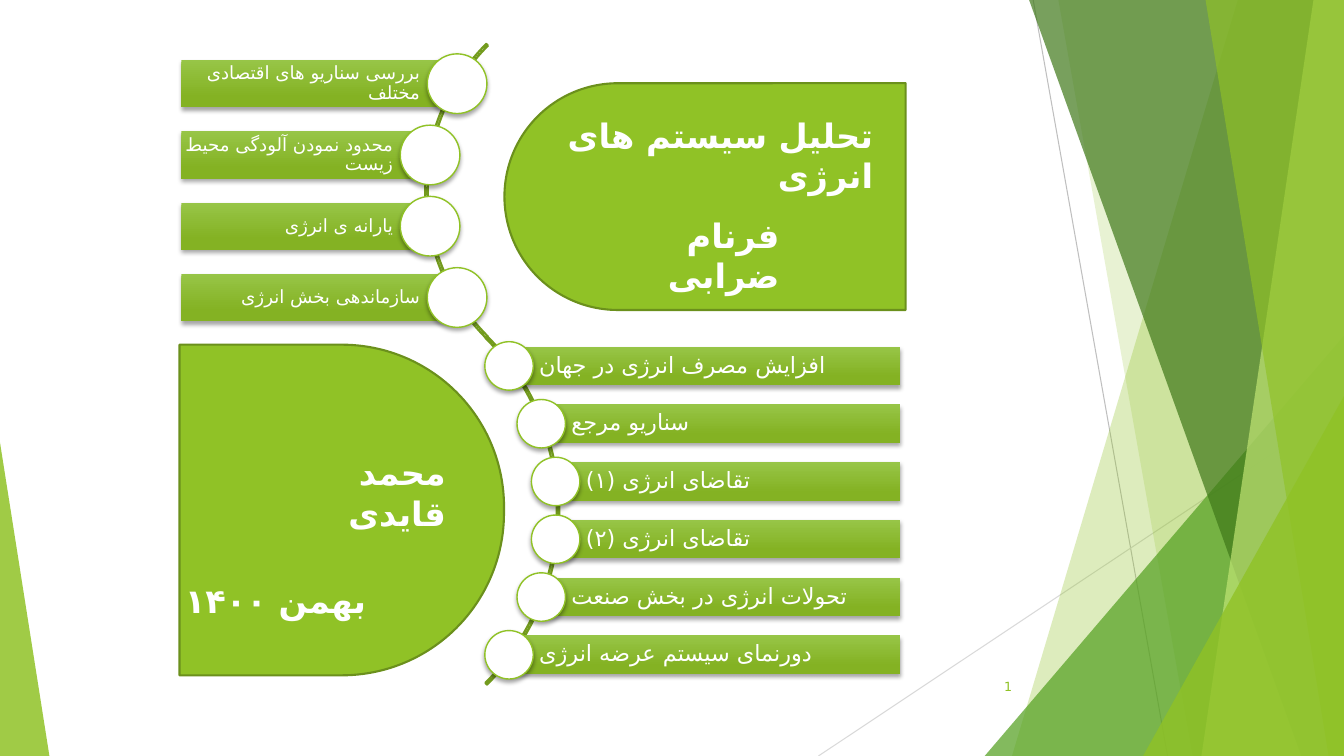
from lxml import etree
from pptx import Presentation
from pptx.dml.color import RGBColor
from pptx.enum.shapes import MSO_CONNECTOR, MSO_SHAPE
from pptx.enum.text import MSO_ANCHOR, PP_ALIGN
from pptx.oxml.ns import qn
from pptx.util import Pt

RECTANGLE, OVAL, TRIANGLE = MSO_SHAPE.RECTANGLE, MSO_SHAPE.OVAL, MSO_SHAPE.ISOSCELES_TRIANGLE
BLOCK_ARC, ROUND_TOP = MSO_SHAPE.BLOCK_ARC, MSO_SHAPE.ROUND_2_SAME_RECTANGLE
STRAIGHT = MSO_CONNECTOR.STRAIGHT
TOP, MIDDLE = MSO_ANCHOR.TOP, MSO_ANCHOR.MIDDLE
LEFT, RIGHT = PP_ALIGN.LEFT, PP_ALIGN.RIGHT

WHITE = RGBColor(0xFF, 0xFF, 0xFF)
BLACK = RGBColor(0, 0, 0)
LIME = RGBColor(0x90, 0xC2, 0x26)
PALE_LIME = RGBColor(0xC0, 0xE4, 0x74)
GREEN = RGBColor(0x54, 0xA0, 0x21)
DARK_GREEN = RGBColor(0x3F, 0x78, 0x19)
ARC_GREEN = RGBColor(0x73, 0x9B, 0x1E)
PANEL_EDGE = RGBColor(0x6B, 0x90, 0x1C)
BAR_TOP = RGBColor(0x97, 0xC5, 0x47)
BAR_BOTTOM = RGBColor(0x84, 0xB2, 0x23)
GRAY = RGBColor(0xBF, 0xBF, 0xBF)
LIGHT_GRAY = RGBColor(0xD9, 0xD9, 0xD9)

FONT = "Karla"
PERSIAN_FONT = "DejaVu Sans"  # Karla has no Arabic letters
WIDTH, HEIGHT = 960, 540

# Right-hand facets, back to front: top x, bottom x, colour, opacity
BACK_FACETS = [(884.2, 722.9, LIME, 30), (756, 851.8, LIME, 20)]
FRONT_FACETS = [(735.1, 929.5, DARK_GREEN, 70), (938.2, 858.2, PALE_LIME, 70),
                (861.1, 949, LIME, 65)]

# Topics: circle centre x, text
UPPER_TOPICS = [
    (326.5, "بررسی سناریو های اقتصادی مختلف"),
    (307.2, "محدود نمودن آلودگی محیط زیست"),
    (307.2, "یارانه ی انرژی"),
    (326.5, "سازماندهی بخش انرژی"),
]
LOWER_TOPICS = [
    (363.6, "افزایش مصرف انرژی در جهان"),
    (386.6, "سناریو مرجع"),
    (396.9, "تقاضای انرژی (۱)"),
    (396.9, "تقاضای انرژی (۲)"),
    (386.6, "تحولات انرژی در بخش صنعت"),
    (363.6, "دورنمای سیستم عرضه انرژی"),
]


def set_fill(shape, color, opacity=100):
    shape.fill.solid()
    shape.fill.fore_color.rgb = color
    if opacity < 100:
        color_element = shape._element.spPr.find(qn("a:solidFill"))[0]
        etree.SubElement(color_element, qn("a:alpha"), val=str(opacity * 1000))


def set_line(shape, color=None, width=1.5):
    if color is None:
        shape.line.fill.background()
    else:
        shape.line.color.rgb = color
        shape.line.width = Pt(width)


def add_preset(slide, kind, left, top, width, height, adjustments=()):
    shape = slide.shapes.add_shape(kind, Pt(left), Pt(top), Pt(width), Pt(height))
    shape.shadow.inherit = False
    for index, value in enumerate(adjustments):
        shape.adjustments[index] = value
    return shape


def add_drop_shadow(shape):
    effects = shape._element.spPr.find(qn("a:effectLst"))
    shadow = etree.SubElement(effects, qn("a:outerShdw"), blurRad=str(Pt(3)),
                              dist=str(Pt(2)), dir="5400000", rotWithShape="0")
    color = etree.SubElement(shadow, qn("a:srgbClr"), val=str(BLACK))
    etree.SubElement(color, qn("a:alpha"), val="35000")


def write_text(shape, text, size, align, color=WHITE, bold=False, rtl=False, anchor=MIDDLE):
    frame = shape.text_frame
    frame.word_wrap = True
    frame.vertical_anchor = anchor
    paragraph = frame.paragraphs[0]
    paragraph.text = text
    paragraph.alignment = align
    font = paragraph.font
    font.name, font.size, font.bold = FONT, Pt(size), bold
    font.color.rgb = color
    properties = paragraph._p.get_or_add_pPr()
    etree.SubElement(properties.find(qn("a:defRPr")), qn("a:cs"), typeface=PERSIAN_FONT)
    if rtl:
        properties.set("rtl", "1")
    return frame


def add_label(slide, left, top, width, height, text, size=24, color=WHITE,
              bold=True, anchor=MIDDLE):
    box = slide.shapes.add_textbox(Pt(left), Pt(top), Pt(width), Pt(height))
    write_text(box, text, size, RIGHT, color, bold, True, anchor)


def add_thin_line(slide, start, end, color):
    line = slide.shapes.add_connector(STRAIGHT, *map(Pt, start + end))
    set_line(line, color, 0.75)
    etree.SubElement(line._element.spPr, qn("a:effectLst"))


def add_facet(slide, top_x, bottom_x, color, opacity):
    builder = slide.shapes.build_freeform(Pt(top_x), 0)
    builder.add_line_segments([(Pt(WIDTH), 0), (Pt(WIDTH), Pt(HEIGHT)), (Pt(bottom_x), Pt(HEIGHT))])
    facet = builder.convert_to_shape()
    facet.shadow.inherit = False
    set_fill(facet, color, opacity)
    set_line(facet)


def add_corner(slide, left, top, width, apex, color, opacity):
    corner = add_preset(slide, TRIANGLE, left, top, width, HEIGHT - top, [apex])
    set_fill(corner, color, opacity)
    set_line(corner)


def add_arc(slide, left, top, size, adjustments):
    arc = add_preset(slide, BLOCK_ARC, left, top, size, size, adjustments)
    arc.fill.background()
    set_line(arc, ARC_GREEN)


def add_topic(slide, center_x, center_y, edge_x, bar_height, diameter, text, size, inset):
    """Bar from the circle's centre to edge_x, with the circle over its end."""
    on_left = edge_x < center_x
    bar = add_preset(slide, RECTANGLE, min(edge_x, center_x), center_y - bar_height / 2,
                     abs(edge_x - center_x), bar_height)
    bar.fill.gradient()
    bar.fill.gradient_angle = 270
    for stop, position, color in zip(bar.fill.gradient_stops, (0, 0.78), (BAR_TOP, BAR_BOTTOM)):
        stop.position = position
        stop.color.rgb = color
    set_line(bar)
    add_drop_shadow(bar)
    frame = write_text(bar, text, size, RIGHT if on_left else LEFT)
    frame.paragraphs[0].line_spacing = 0.9
    frame.margin_top = frame.margin_bottom = Pt(2.9)
    frame.margin_left = Pt(2.9 if on_left else inset)
    frame.margin_right = Pt(inset if on_left else 2.9)

    circle = add_preset(slide, OVAL, center_x - diameter / 2, center_y - diameter / 2,
                        diameter, diameter)
    set_fill(circle, WHITE)
    set_line(circle, LIME, 1)
    add_drop_shadow(circle)


def add_panel(slide, left, top, width, height, rotation):
    panel = add_preset(slide, ROUND_TOP, left, top, width, height, [0.5, 0])
    panel.rotation = rotation
    set_fill(panel, LIME)
    set_line(panel, PANEL_EDGE)


def main():
    presentation = Presentation()
    presentation.slide_width, presentation.slide_height = Pt(WIDTH), Pt(HEIGHT)
    slide = presentation.slides.add_slide(presentation.slide_layouts[6])

    # Background facets
    add_thin_line(slide, (738, 0), (834, HEIGHT), GRAY)
    add_thin_line(slide, (WIDTH, 290), (584.6, HEIGHT), LIGHT_GRAY)
    for facet in BACK_FACETS:
        add_facet(slide, *facet)
    add_corner(slide, 703.4, 239.8, 256.6, 1, GREEN, 72)
    for facet in FRONT_FACETS:
        add_facet(slide, *facet)
    add_corner(slide, 816.5, 283, 143.5, 1, LIME, 80)
    add_corner(slide, 0, 316.1, 35.3, 0, LIME, 85)

    # Topics along the two arcs
    add_arc(slide, 303.8, -12.2, 297.4, [81, 135, 0.006])
    for row, (center_x, text) in enumerate(UPPER_TOPICS):
        add_topic(slide, center_x, 59.8 + 50.9 * row, 129.6, 33.8, 42.6, text, 13, 26.6)
    add_arc(slide, 47.5, 188.6, 352, [189, 27, 0.005])
    for row, (center_x, text) in enumerate(LOWER_TOPICS):
        add_topic(slide, center_x, 261.4 + 41.26 * row, 643.2, 27.5, 34.6, text, 16, 21.6)

    # Title and author panels
    add_panel(slide, 126, 248.4, 236.2, 231.8, 90)
    add_panel(slide, 422.6, -2.9, 162, 286.6, 270)
    add_label(slide, 396, 60.5, 234.7, 100.8, "تحلیل سیستم های انرژی")
    add_label(slide, 175, 297.4, 150.5, 108.7, "محمد قایدی")
    add_label(slide, 118.1, 374.4, 150.5, 108.7, "بهمن ۱۴۰۰")
    add_label(slide, 442.8, 149.8, 121, 36, "فرنام ضرابی", anchor=TOP)

    # Slide number
    add_label(slide, 676.1, 475.9, 54, 28.8, "1", 9, LIME, False)
    presentation.save("out.pptx")


main()
